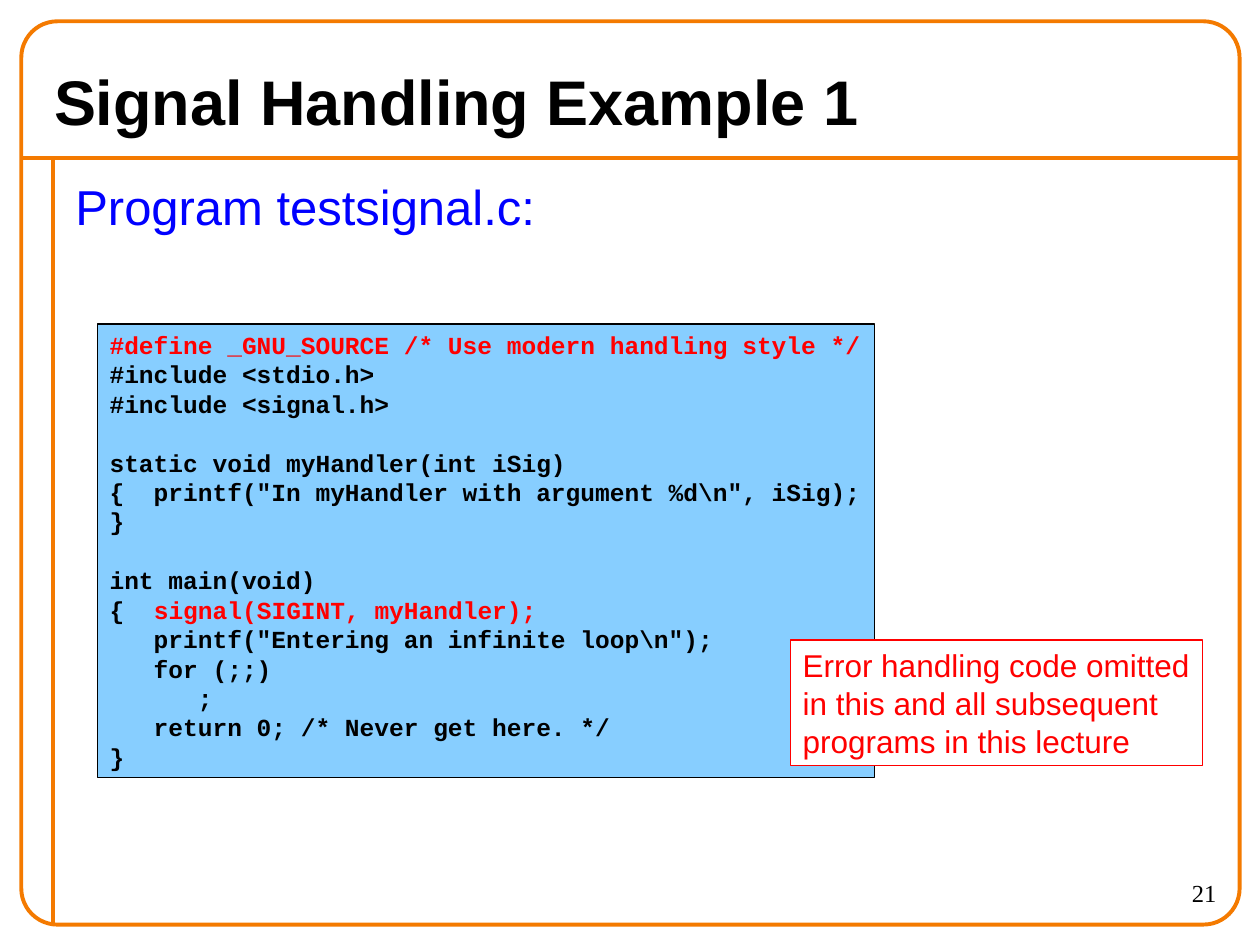
from dataclasses import dataclass

from lxml.etree import SubElement
from pptx import Presentation
from pptx.dml.color import RGBColor
from pptx.enum.shapes import MSO_CONNECTOR as Connector, MSO_SHAPE as Shape
from pptx.enum.text import MSO_ANCHOR as Anchor, PP_ALIGN as Align
from pptx.oxml.ns import qn
from pptx.util import Cm, Pt

ORANGE, BLACK, RED, BLUE = "F47A00", "000000", "FF0000", "0000FF"
WHITE, SKY = "FFFFFF", "87CEFF"


@dataclass
class TextBlock:
    area: tuple[float, float, float, float]
    lines: list
    style: dict
    color: str = BLACK
    anchor: Anchor = Anchor.TOP
    align: Align = Align.LEFT
    wrap: bool = True
    line_height: float | None = None
    fill: str | None = None
    border: str | None = None


def rgb(value: str) -> RGBColor:
    return RGBColor.from_string(value)


def set_line(line, color: str, width: float) -> None:
    line.color.rgb = rgb(color)
    line.width = Pt(width)


def apply_style(font, style: dict) -> None:
    for name, value in style.items():
        setattr(font, name, value)


def draw_rule(page, x1: float, y1: float, x2: float, y2: float) -> None:
    rule = page.shapes.add_connector(Connector.STRAIGHT, Cm(x1), Cm(y1), Cm(x2), Cm(y2))
    set_line(rule.line, ORANGE, 2.25)
    SubElement(rule._element.spPr, qn("a:effectLst"))


def draw_frame(page) -> None:
    frame = page.shapes.add_shape(
        Shape.ROUNDED_RECTANGLE, Cm(0.43), Cm(0.43), Cm(24.56), Cm(18.21))
    frame.adjustments[0] = 0.04
    frame.shadow.inherit = False
    frame.fill.background()
    set_line(frame.line, ORANGE, 2.25)


def draw_text(page, block: TextBlock) -> None:
    area = [Cm(length) for length in block.area]
    if block.fill:
        box = page.shapes.add_shape(Shape.RECTANGLE, *area)
        box.shadow.inherit = False
        box.fill.solid()
        box.fill.fore_color.rgb = rgb(block.fill)
        set_line(box.line, block.border, 0.75)
    else:
        box = page.shapes.add_textbox(*area)
    frame = box.text_frame
    frame.word_wrap = block.wrap
    frame.vertical_anchor = block.anchor

    for index, line in enumerate(block.lines):
        para = frame.add_paragraph() if index else frame.paragraphs[0]
        para.alignment = block.align
        if block.line_height:
            para.line_spacing = Pt(block.line_height)
        apply_style(para.font, block.style)
        # A line is plain text or a list of (text, color) spans
        spans = [(line, block.color)] if isinstance(line, str) else line
        for text, color in spans:
            if text:
                span = para.add_run()
                span.text = text
                apply_style(span.font, block.style)
                span.font.color.rgb = rgb(color)


CODE = [
    [("#define _GNU_SOURCE /* Use modern handling style */", RED)],
    "#include <stdio.h>",
    "#include <signal.h>",
    "",
    "static void myHandler(int iSig)",
    '{  printf("In myHandler with argument %d\\n", iSig);',
    "}",
    "",
    "int main(void)",
    [("{  ", BLACK), ("signal(SIGINT, myHandler);", RED)],
    '   printf("Entering an infinite loop\\n");',
    "   for (;;)",
    "      ;",
    "   return 0; /* Never get here. */",
    "}",
]

NOTE = [
    "Error handling code omitted",
    "in this and all subsequent",
    "programs in this lecture",
]

BLOCKS = [
    # Title
    TextBlock((0.84, 1.07, 22.4, 1.9), ["Signal Handling Example 1"],
              {"name": "Arial", "size": Pt(36), "bold": True}, anchor=Anchor.MIDDLE),
    # Subject
    TextBlock((1.27, 3.43, 23.5, 15.24), ["Program testsignal.c:"],
              {"name": "Arial", "size": Pt(28)}, BLUE),
    # Program listing
    TextBlock((1.96, 6.53, 15.67, 9.14), CODE,
              {"name": "Courier New", "size": Pt(14), "bold": True},
              anchor=Anchor.MIDDLE, wrap=False, line_height=16.8,
              fill=SKY, border=BLACK),
    # Page number
    TextBlock((22.23, 17.58, 2.54, 1.07), ["21"],
              {"name": "Times New Roman", "size": Pt(14)}, align=Align.RIGHT),
    # Note over the listing
    TextBlock((15.93, 12.9, 8.31, 2.54), NOTE,
              {"name": "Arial", "size": Pt(18)}, RED, wrap=False, line_height=21.6,
              fill=WHITE, border=RED),
]


def main() -> None:
    deck = Presentation()
    deck.slide_width, deck.slide_height = Cm(25.4), Cm(19.05)
    page = deck.slides.add_slide(deck.slide_layouts[6])

    # Page border and rules
    draw_rule(page, 0.43, 3.18, 24.97, 3.18)
    draw_rule(page, 1.07, 3.18, 1.07, 18.62)
    draw_frame(page)

    for block in BLOCKS:
        draw_text(page, block)
    deck.save("out.pptx")


if __name__ == "__main__":
    main()
